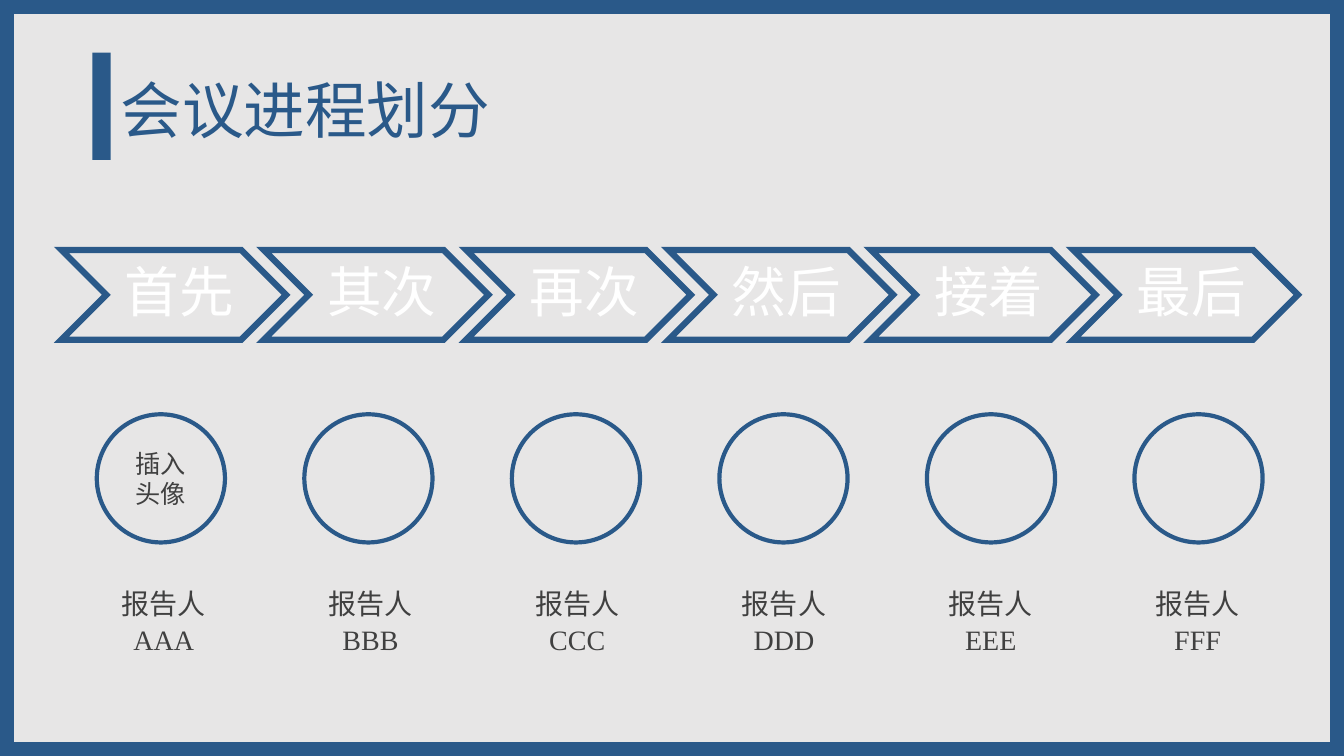
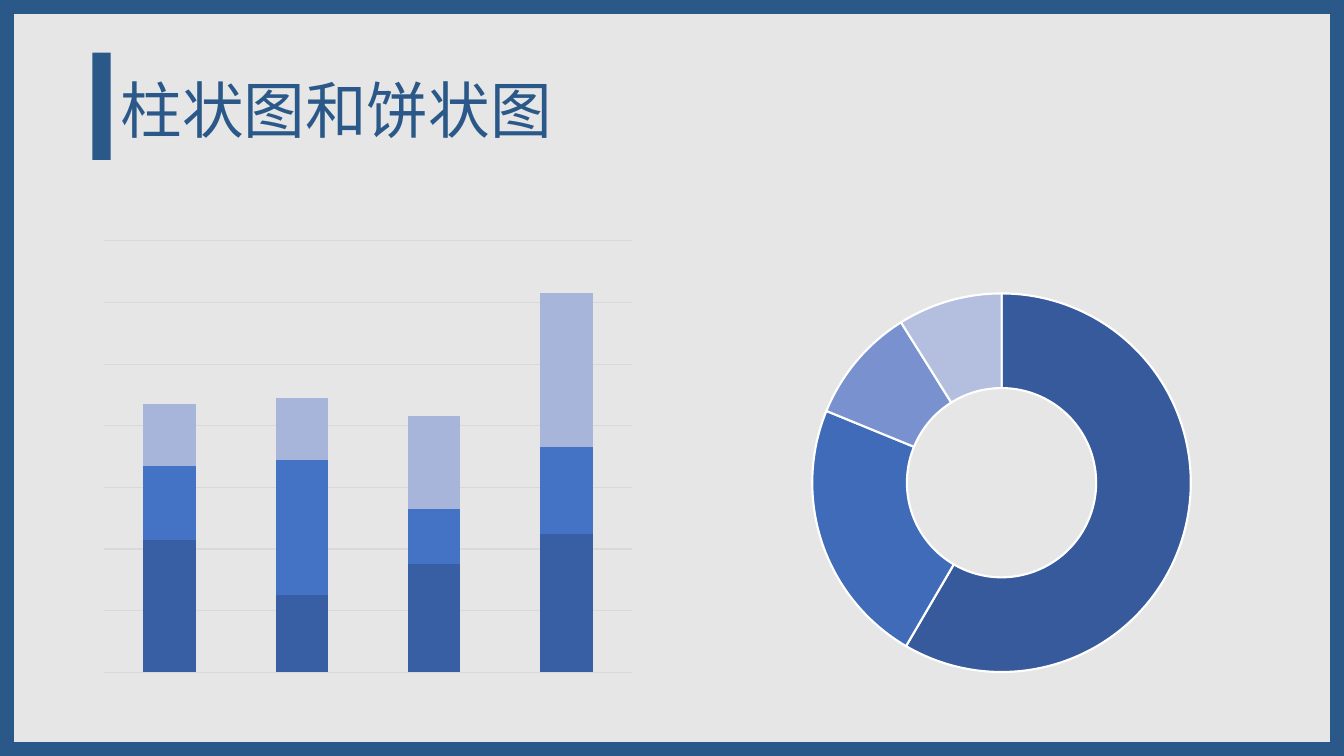
"""Build two slides: the meeting stages with their speakers, and a pair of charts."""
from dataclasses import dataclass

from lxml import etree
from pptx import Presentation
from pptx import util as u
from pptx.chart.data import CategoryChartData
from pptx.dml.color import RGBColor
from pptx.enum import chart as charts
from pptx.enum import shapes, text
from pptx.oxml.ns import qn


@dataclass(frozen=True)
class Theme:
    navy: str = "2A5989"
    paper: str = "E7E6E6"
    ink: str = "404040"
    white: str = "FFFFFF"
    black: str = "000000"
    grid: str = "D9D9D9"
    columns: tuple = ("385FA3", "4472C4", "A8B5DB")
    ring: tuple = ("365A9B", "406BB8", "7991CE", "B4BEDF")
    heading: str = "Noto Sans CJK SC"
    body: str = "Calibri"
    serif: str = "Times New Roman"
    title_size: int = 44
    stage_size: int = 39
    speaker_size: int = 20
    portrait_size: int = 18
    chart_size: int = 10


theme = Theme()
rgb = RGBColor.from_string


def add_panel(slide, kind, left, top, width, height, outline=None):
    """Add a solid navy shape, or an unfilled one when an outline width is given."""
    shape = slide.shapes.add_shape(kind, u.Cm(left), u.Cm(top), u.Cm(width), u.Cm(height))
    shape.shadow.inherit = False
    if outline:
        shape.fill.background()
        shape.line.color.rgb = rgb(theme.navy)
        shape.line.width = u.Pt(outline)
        etree.SubElement(shape.line._get_or_add_ln(), qn("a:miter"), lim="800000")
    else:
        shape.fill.solid()
        shape.fill.fore_color.rgb = rgb(theme.navy)
        shape.line.fill.background()
    return shape


def add_text(frame, words, size, colour, font, align=text.PP_ALIGN.CENTER, spacing=1.0):
    """Write one run into the first paragraph of a text frame."""
    frame.word_wrap = True
    frame.vertical_anchor = text.MSO_ANCHOR.MIDDLE
    paragraph = frame.paragraphs[0]
    paragraph.alignment = align
    paragraph.line_spacing = spacing
    run = paragraph.add_run()
    run.text = words
    run.font.size = u.Pt(size)
    run.font.color.rgb = rgb(colour)
    run.font.name = font
    etree.SubElement(run.font._element, qn("a:ea"), typeface=theme.heading)


presentation = Presentation()
presentation.slide_width = u.Cm(33.87)
presentation.slide_height = u.Cm(19.05)

slides = []
for title in ("会议进程划分", "柱状图和饼状图"):
    slide = presentation.slides.add_slide(presentation.slide_layouts[6])
    slide.background.fill.solid()
    slide.background.fill.fore_color.rgb = rgb(theme.paper)
    add_panel(slide, shapes.MSO_SHAPE.RECTANGLE, 0, 0, 33.87, 19.05, outline=20)
    add_panel(slide, shapes.MSO_SHAPE.RECTANGLE, 2.33, 1.33, 0.46, 2.7)
    box = slide.shapes.add_textbox(u.Cm(2.79), u.Cm(1.02), u.Cm(28.75), u.Cm(3.68))
    add_text(box.text_frame, title, theme.title_size, theme.navy, theme.heading,
             text.PP_ALIGN.LEFT, 0.9)
    slides.append(slide)
agenda_slide, chart_slide = slides

stages = ("首先", "其次", "再次", "然后", "接着", "最后")
for index, stage in enumerate(stages):
    chevron = add_panel(agenda_slide, shapes.MSO_SHAPE.CHEVRON,
                        1.55 + 5.1 * index, 6.3, 5.66, 2.26, outline=4.5)
    frame = chevron.text_frame
    frame.margin_left = u.Cm(0.43)
    frame.margin_right = frame.margin_top = frame.margin_bottom = u.Cm(0.15)
    add_text(frame, stage, theme.stage_size, theme.white, theme.heading, spacing=0.9)

for index in range(len(stages)):
    portrait = add_panel(agenda_slide, shapes.MSO_SHAPE.OVAL,
                         2.44 + 5.23 * index, 10.44, 3.23, 3.23, outline=3)
    if index == 0:
        add_text(portrait.text_frame, "插入头像", theme.portrait_size, theme.ink, theme.body)

speakers = ("AAA", "BBB", "CCC", "DDD", "EEE", "FFF")
table_shape = agenda_slide.shapes.add_table(
    2, len(speakers), u.Cm(1.52), u.Cm(14.53), u.Cm(31.27), u.Cm(2.08))
table = table_shape.table
table.first_row = table.horz_banding = False
no_grid_style = "{2D5ABB26-0587-4C30-8999-92F81FD0307C}"
table._tbl.tblPr.find(qn("a:tableStyleId")).text = no_grid_style
for column, speaker in enumerate(speakers):
    for row, words in enumerate(("报告人", speaker)):
        cell = table.cell(row, column)
        cell.fill.background()
        add_text(cell.text_frame, words, theme.speaker_size, theme.ink, theme.serif)
        cell.vertical_anchor = text.MSO_ANCHOR.TOP

column_values = ((86, 50, 70, 90), (48, 88, 36, 56), (40, 40, 60, 100))
chart_plans = (
    (charts.XL_CHART_TYPE.COLUMN_STACKED, column_values, (2.34, 5.84, 13.87, 11.33)),
    (charts.XL_CHART_TYPE.DOUGHNUT, ((59, 23, 10, 9),), (20.12, 5.79, 10.24, 12.75)),
)
built_charts = []
for kind, rows, place in chart_plans:
    data = CategoryChartData()
    data.categories = ("1", "2", "3", "4")
    for number, values in enumerate(rows, 1):
        data.add_series(f"Series {number}", values)
    chart = chart_slide.shapes.add_chart(kind, *map(u.Cm, place), data).chart
    chart.has_legend = chart.has_title = False
    chart.font.name = theme.body
    chart.font.size = u.Pt(theme.chart_size)
    chart.font.color.rgb = rgb(theme.black)
    built_charts.append(chart)
column_chart, ring_chart = built_charts

column_plot = column_chart.plots[0]
column_plot.gap_width = 150
column_plot.overlap = 100
column_plot.vary_by_categories = False
for series, colour in zip(column_plot.series, theme.columns):
    series.format.fill.solid()
    series.format.fill.fore_color.rgb = rgb(colour)

column_chart.category_axis.visible = False
value_axis = column_chart.value_axis
value_axis.visible = False
value_axis.minimum_scale = 0
value_axis.maximum_scale = 280
value_axis.major_unit = 40
value_axis.has_major_gridlines = True
gridline = value_axis.major_gridlines.format.line
gridline.color.rgb = rgb(theme.grid)
gridline.width = u.Pt(0.75)

ring_plot = ring_chart.plots[0]
ring_plot.vary_by_categories = True
ring_plot._element.find(qn("c:holeSize")).set("val", "75")
for index, colour in enumerate(theme.ring):
    segment = ring_plot.series[0].points[index].format
    segment.fill.solid()
    segment.fill.fore_color.rgb = rgb(colour)
    segment.line.color.rgb = rgb(theme.white)
    segment.line.width = u.Pt(1.5)

presentation.save("out.pptx")
